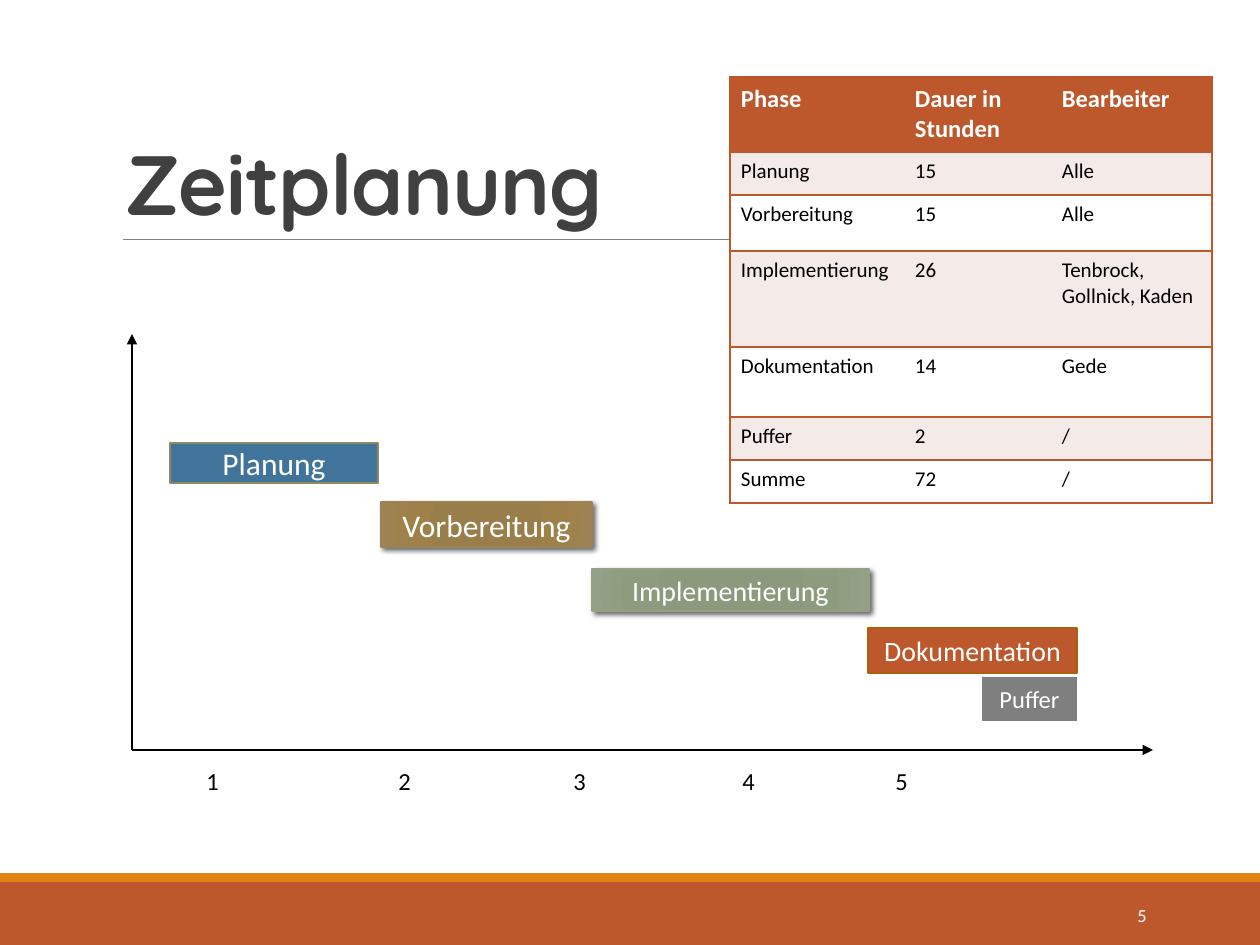
from lxml import etree
from pptx import Presentation
from pptx import util as u
from pptx.dml import color
from pptx.enum import shapes, text
from pptx.oxml import ns, parse_xml

UNIT = 914400 / 126
FONT = "Calibri"
HUES = {
    "rust": "BD582C", "amber": "E48312", "gray": "808080", "dark": "404040",
    "black": "000000", "white": "FFFFFF", "pale": "F4EAE8",
    "blue": "40749B", "olive": "908B5F", "brown": "A9610D",
    "sand": "9B8357", "sage": "94A088",
}
SAND = [(0, "9A7D48"), (34, "9A7E4A"), (70, "9E8049"), (100, "9E8454")]
SAGE = [(0, "8A987B"), (34, "8B997D"), (70, "8D9C7E"), (100, "94A187")]
ROWS = [
    ("Phase", "Dauer in Stunden", "Bearbeiter"),
    ("Planung", "15", "Alle"),
    ("Vorbereitung", "15", "Alle"),
    ("Implementierung", "26", "Tenbrock, Gollnick, Kaden"),
    ("Dokumentation", "14", "Gede"),
    ("Puffer", "2", "/"),
    ("Summe", "72", "/"),
]
BARS = [
    ("Planung", (38, 109, 208, 40), 18, "blue", "olive", 1.25),
    ("Vorbereitung", (249, 168, 211, 45), 18, SAND, "sand", 1),
    ("Implementierung", (460, 235, 277, 42), 16, SAGE, "sage", 1),
    ("Dokumentation", (736, 294, 209, 45), 16, "rust", "brown", 1.25),
    ("Puffer", (850, 343, 95, 44), 14, "black", None, 0),
]


def px(num):
    """Turn pixels into EMU."""
    return u.Emu(round(num * UNIT))


def rgb(name):
    """Look up a named colour."""
    return color.RGBColor.from_string(HUES[name])


def write(frame, words, size=14, hue="black", font=FONT, bold=False,
          align="LEFT", anchor="TOP", lead=None, track=None):
    """Put one formatted paragraph into a text frame."""
    frame.word_wrap = True
    frame.vertical_anchor = getattr(text.MSO_ANCHOR, anchor)
    para = frame.paragraphs[0]
    para.alignment = getattr(text.PP_ALIGN, align)
    if lead:
        para.line_spacing = lead
    run = para.add_run()
    run.text = words
    run.font.size, run.font.name, run.font.bold = u.Pt(size), font, bold
    run.font.color.rgb = rgb(hue)
    if track:
        run.font._element.set("spc", str(track))


def label(slide, box, words, grow=False, **form):
    """Add a text box."""
    frame = slide.shapes.add_textbox(*map(px, box)).text_frame
    write(frame, words, **form)
    if grow:
        frame.auto_size = text.MSO_AUTO_SIZE.SHAPE_TO_FIT_TEXT


def block(slide, box, fill, edge=None, width=1):
    """Add a rectangle with a plain fill or a radial blend."""
    shape = slide.shapes.add_shape(shapes.MSO_SHAPE.RECTANGLE, *map(px, box))
    shape.shadow.inherit = False
    if isinstance(fill, str):
        shape.fill.solid()
        shape.fill.fore_color.rgb = rgb(fill)
    else:
        blend(shape, fill)
    if edge:
        shape.line.color.rgb = rgb(edge)
        shape.line.width = u.Pt(width)
    else:
        shape.line.fill.background()
    return shape


def blend(shape, stops):
    """Give a shape a radial gradient and a soft shadow."""
    marks = "".join(f'<a:gs pos="{pos * 1000}"><a:srgbClr val="{hue}"/></a:gs>'
                    for pos, hue in stops)
    props = shape._element.spPr
    props.find(ns.qn("a:prstGeom")).addnext(parse_xml(
        f'<a:gradFill {ns.nsdecls("a")} rotWithShape="1"><a:gsLst>{marks}</a:gsLst>'
        '<a:path path="circle"><a:fillToRect l="100000" t="100000" '
        'r="100000" b="100000"/></a:path></a:gradFill>'))
    props.find(ns.qn("a:effectLst")).append(parse_xml(
        f'<a:outerShdw {ns.nsdecls("a")} blurRad="38100" dist="25400" '
        'dir="2700000" rotWithShape="0"><a:srgbClr val="000000">'
        '<a:alpha val="60000"/></a:srgbClr></a:outerShdw>'))


def line(slide, start, end, hue="black", width=1, arrow=False):
    """Add a straight line, with an arrowhead if asked."""
    wire = slide.shapes.add_connector(
        shapes.MSO_CONNECTOR.STRAIGHT, *map(px, (*start, *end)))
    wire.line.color.rgb = rgb(hue)
    wire.line.width = u.Pt(width)
    if arrow:
        etree.SubElement(wire.line._get_or_add_ln(), ns.qn("a:tailEnd"), type="triangle")
    etree.SubElement(wire._element.spPr, ns.qn("a:effectLst"))


def border(cell, sides):
    """Draw the given sides of a cell and clear the others."""
    props = cell._tc.get_or_add_tcPr()
    for spot, side in enumerate("LRTB"):
        paint = (f'<a:solidFill><a:srgbClr val="{HUES["rust"]}"/></a:solidFill>'
                 if side in sides else "<a:noFill/>")
        props.insert(spot, parse_xml(
            f'<a:ln{side} {ns.nsdecls("a")} w="12700">{paint}</a:ln{side}>'))


def footer(slide, left, top, width, height):
    """Draw the bottom band with the slide number."""
    block(slide, (left, top + 9, width, height - 9), "rust")
    block(slide, (left, top, width, 9), "amber")
    label(slide, (left + 1023, top + 17, 136, 50), "5", size=10.5,
          hue="white", align="RIGHT", anchor="MIDDLE")


def header(slide, left, top, width, height):
    """Draw the title and the rule below it."""
    base = top + height
    line(slide, (left + 10, base), (left + width, base), "gray", 0.5)
    label(slide, (left, top, width, height), "Zeitplanung", size=48, hue="dark",
          font="Quicksand", bold=True, anchor="BOTTOM", lead=0.85, track=-50)


def phases(slide, left, top, widths, heights):
    """Draw the table of phases."""
    box = (left, top, sum(widths), sum(heights))
    grid = slide.shapes.add_table(len(heights), len(widths), *map(px, box)).table
    for col, width in zip(grid.columns, widths):
        col.width = px(width)
    for num, (row, height, words) in enumerate(zip(grid.rows, heights, ROWS)):
        row.height = px(height)
        head = num == 0
        for spot, (cell, word) in enumerate(zip(row.cells, words)):
            cell.margin_left = cell.margin_right = px(11)
            cell.margin_top = cell.margin_bottom = px(7)
            cell.fill.solid()
            cell.fill.fore_color.rgb = rgb(
                "rust" if head else "pale" if num % 2 else "white")
            write(cell.text_frame, word, size=14 if head else 12,
                  hue="white" if head else "black", bold=head)
            border(cell, "TB" + {0: "L", len(widths) - 1: "R"}.get(spot, ""))


def chart(slide, left, top, width, height):
    """Draw the time axes, their numbers and the phase bars."""
    base = top + height
    zero = (left, base)
    for knee, tip in (((left + 1002, base), (left + width, base)),
                      ((left, top + 39), (left, top))):
        line(slide, zero, knee)
        line(slide, knee, tip, arrow=True)
    for num, step in enumerate((62, 254, 429, 598, 751), 1):
        label(slide, (left + step, base + 10, 100, 43), str(num), grow=True)
    for words, (dx, dy, wide, high), size, fill, edge, thick in BARS:
        bar = block(slide, (left + dx, top + dy, wide, high), fill, edge, thick)
        if not edge:
            shade = bar.fill._xPr.find(ns.qn("a:solidFill"))[0]
            etree.SubElement(shade, ns.qn("a:alpha"), val="50000")
        write(bar.text_frame, words, size=size, hue="white",
              align="CENTER", anchor="MIDDLE")


def main():
    """Build and save the slide."""
    deck = Presentation()
    deck.slide_width, deck.slide_height = px(1260), px(945)
    slide = deck.slides.add_slide(deck.slide_layouts[6])
    footer(slide, 0, 873, 1260, 72)
    header(slide, 113, 39, 1040, 200)
    phases(slide, 730, 77, (174, 147, 161), (75, 43, 56, 96, 70, 43, 43))
    chart(slide, 132, 334, 1021, 416)
    deck.save("out.pptx")


main()
